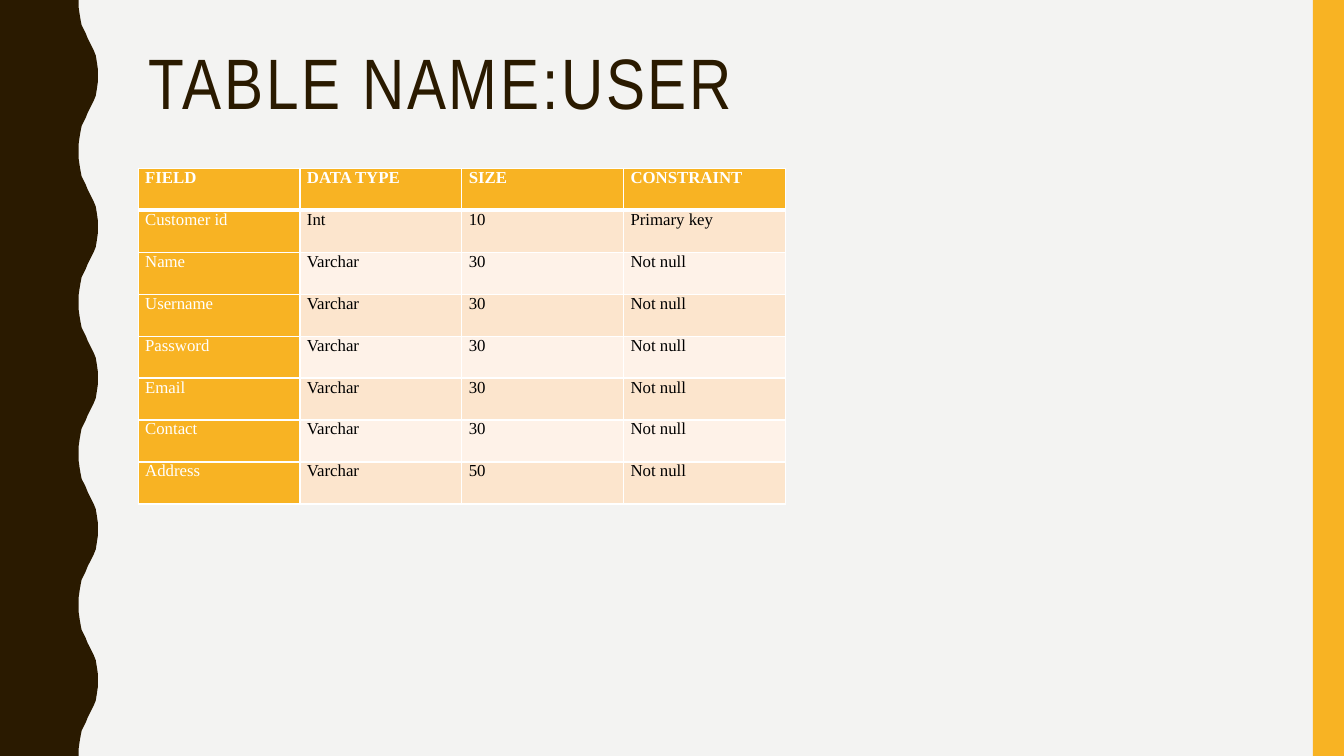
from dataclasses import dataclass

from lxml import etree
from pptx import Presentation
from pptx import util as u
from pptx.dml.color import RGBColor
from pptx.enum import shapes, text
from pptx.oxml import ns


@dataclass(frozen=True)
class Theme:
    background: str = "F3F3F2"
    dark: str = "2A1A00"
    accent: str = "F8B323"
    band: str = "FCE5CD"
    light_band: str = "FEF2E8"
    white: str = "FFFFFF"
    black: str = "000000"
    title_font: str = "Arial Narrow"
    table_font: str = "Times New Roman"
    title_size: int = 51
    table_size: int = 12


theme = Theme()


def paint(shape, color):
    shape.shadow.inherit = False
    shape.fill.solid()
    shape.fill.fore_color.rgb = RGBColor.from_string(color)
    shape.line.fill.background()


def add_border(cell, side, points):
    """Draw a white line on one side (L, R, T or B) of a table cell."""
    properties = cell._tc.get_or_add_tcPr()
    line = etree.SubElement(properties, ns.qn(f"a:ln{side}"), w=str(u.Pt(points)))
    fill = etree.SubElement(line, ns.qn("a:solidFill"))
    etree.SubElement(fill, ns.qn("a:srgbClr"), val=theme.white)


presentation = Presentation()
presentation.slide_width = u.Inches(13.33)
presentation.slide_height = u.Inches(7.5)
width, height = presentation.slide_width, presentation.slide_height
slide = presentation.slides.add_slide(presentation.slide_layouts[5])
slide.background.fill.solid()
slide.background.fill.fore_color.rgb = RGBColor.from_string(theme.background)

# Wavy left edge: one half wave, mirrored and repeated down the slide
half_wave = [(0.78, 0), (0.78, 0.07), (0.79, 0.14), (0.8, 0.2), (0.81, 0.25),
             (0.83, 0.29), (0.85, 0.33), (0.87, 0.38), (0.89, 0.42), (0.91, 0.46),
             (0.93, 0.5), (0.95, 0.55), (0.96, 0.61), (0.97, 0.68), (0.97, 0.75)]
wave_count = 5
wave_length = 1.5
wave = half_wave + [(x, wave_length - y) for x, y in reversed(half_wave[:-1])]
edge = [(u.Inches(x), u.Inches(y + wave_length * number))
        for number in range(wave_count) for x, y in wave]
builder = slide.shapes.build_freeform(0, 0)
builder.add_line_segments(edge + [(0, height)], close=True)
paint(builder.convert_to_shape(), theme.dark)

bar_width = u.Inches(0.31)
bar = slide.shapes.add_shape(
    shapes.MSO_SHAPE.RECTANGLE, width - bar_width, 0, bar_width, height)
paint(bar, theme.accent)

# Title
left = u.Inches(1.37)
title = slide.shapes.title
title.left, title.top = left, u.Inches(0.42)
title.width, title.height = u.Inches(11.13), u.Inches(1.63)
frame = title.text_frame
frame.text = "TABLE NAME:USER"
frame.word_wrap = True
frame.auto_size = text.MSO_AUTO_SIZE.NONE
frame.vertical_anchor = text.MSO_ANCHOR.TOP
paragraph = frame.paragraphs[0]
paragraph.alignment = text.PP_ALIGN.LEFT
paragraph.line_spacing = 0.9
run = paragraph.runs[0]
run.font.name = theme.title_font
run.font.size = u.Pt(theme.title_size)
run.font.color.rgb = RGBColor.from_string(theme.dark)
run.font._element.set("spc", "200")

# Table of fields
rows = [
    ("FIELD", "DATA TYPE", "SIZE", "CONSTRAINT"),
    ("Customer id", "Int", "10", "Primary key"),
    ("Name", "Varchar", "30", "Not null"),
    ("Username", "Varchar", "30", "Not null"),
    ("Password", "Varchar", "30", "Not null"),
    ("Email", "Varchar", "30", "Not null"),
    ("Contact", "Varchar", "30", "Not null"),
    ("Address", "Varchar", "50", "Not null"),
]
table = slide.shapes.add_table(
    len(rows), len(rows[0]), left, u.Inches(1.67), u.Inches(6.42), u.Inches(3.33)).table
table.first_col = True

for row_number, row in enumerate(rows):
    for column_number, value in enumerate(row):
        cell = table.cell(row_number, column_number)
        is_header = row_number == 0
        is_accent = is_header or column_number == 0
        borders = {"L": 1, "R": 1, "T": 3 if row_number == 1 else 1, "B": 3 if is_header else 1}
        for side, points in borders.items():
            add_border(cell, side, points)
        cell.fill.solid()
        band = theme.band if row_number % 2 else theme.light_band
        cell.fill.fore_color.rgb = RGBColor.from_string(theme.accent if is_accent else band)
        cell.margin_left = cell.margin_right = u.Inches(0.07)
        cell.margin_top = cell.margin_bottom = 0
        cell.text_frame.text = value
        font = cell.text_frame.paragraphs[0].runs[0].font
        font.name = theme.table_font
        font.size = u.Pt(theme.table_size)
        font.bold = is_header
        font.color.rgb = RGBColor.from_string(theme.white if is_accent else theme.black)

presentation.save("out.pptx")
